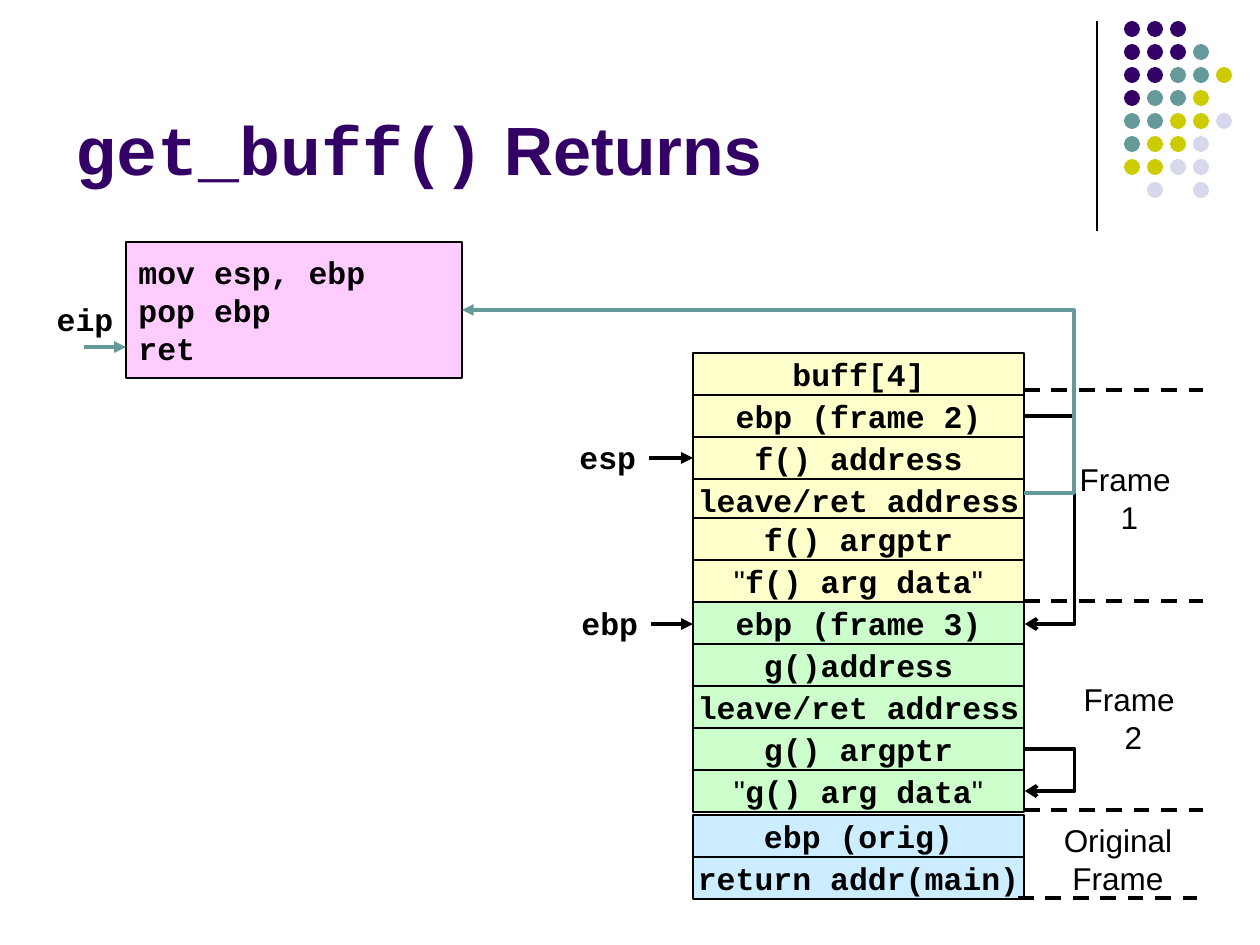
"""Builds a slide on the stack frames left when get_buff() returns."""
from typing import NamedTuple, Optional

from lxml import etree
from pptx import Presentation
from pptx.dml.color import RGBColor
from pptx.enum.dml import MSO_LINE
from pptx.enum.shapes import MSO_CONNECTOR, MSO_SHAPE
from pptx.enum.text import MSO_ANCHOR, PP_ALIGN
from pptx.oxml.ns import qn
from pptx.util import Emu, Pt

STRAIGHT, ELBOW = MSO_CONNECTOR.STRAIGHT, MSO_CONNECTOR.ELBOW
RECT, OVAL = MSO_SHAPE.RECTANGLE, MSO_SHAPE.OVAL
LEFT, CENTER = PP_ALIGN.LEFT, PP_ALIGN.CENTER
TOP, MIDDLE, BOTTOM = MSO_ANCHOR.TOP, MSO_ANCHOR.MIDDLE, MSO_ANCHOR.BOTTOM
DASH = MSO_LINE.DASH

PX = 914400 / 126
SANS, MONO = "Arial", "Courier New"
COLORS = {
    "black": "000000", "purple": "330066", "teal": "669999", "olive": "CCCC00",
    "lilac": "D8D8EC", "yellow": "FFFFCC", "green": "CCFFCC", "blue": "CCECFF",
    "pink": "FFCCFF",
}
DOT_COLORS = {"p": "purple", "t": "teal", "o": "olive", "l": "lilac"}
DOT_ROWS = ["ppp", "pppt", "pptto", "ptto", "ttool", "tool", "ooll", " l l"]
DOT_LEFT, DOT_TOP, DOT_PITCH, DOT_SIZE = 1124, 21, 23, 16
STACK_LEFT, STACK_WIDTH, CELL_HEIGHT = 693, 331, 42
STACK_RIGHT = STACK_LEFT + STACK_WIDTH


class Run(NamedTuple):
    """A stretch of text in one font."""
    text: str
    font: str = MONO
    bold: bool = True
    size: int = 18
    color: str = "black"


class Block(NamedTuple):
    """Adjoining stack cells of one colour."""
    top: int
    fill: str
    cells: list[list[Run]]


class Label(NamedTuple):
    """Free text placed on the slide."""
    x: int
    y: int
    w: int
    h: int
    lines: list[list[Run]]
    align: PP_ALIGN = CENTER
    anchor: MSO_ANCHOR = TOP
    wrap: bool = False


class Line(NamedTuple):
    """A connector, bent at via_x when that is given."""
    x1: int
    y1: int
    x2: int
    y2: int
    color: str = "black"
    width: float = 2.25
    tail: str = ""
    dashed: bool = False
    via_x: Optional[int] = None


def code(text: str) -> list[Run]:
    """Return one line of bold code."""
    return [Run(text)]


def plain(text: str) -> list[Run]:
    """Return one line of plain sans text."""
    return [Run(text, SANS, False)]


def quoted(text: str) -> list[Run]:
    """Return code between plain quotation marks."""
    return plain('"') + code(text) + plain('"')


BLOCKS = [
    Block(353, "yellow", [code("buff[4]"), code("ebp (frame 2)"),
                          code("f() address"), code("leave/ret address")]),
    Block(518, "yellow", [code("f() argptr"), quoted("f() arg data")]),
    Block(602, "green", [code("ebp (frame 3)"), code("g()address"),
                         code("leave/ret address"), code("g() argptr"),
                         quoted("g() arg data")]),
    Block(815, "blue", [code("ebp (orig)"), code("return addr(main)")]),
]
LABELS = [
    Label(63, 16, 1040, 179, [[Run("get_buff()", MONO, True, 39, "purple"),
                               Run(" Returns", SANS, True, 39, "purple")]],
          LEFT, BOTTOM, True),
    Label(1067, 454, 125, 88, [plain("Frame "), plain("1")]),
    Label(1071, 674, 125, 88, [plain("Frame "), plain("2")]),
    Label(1051, 815, 134, 88, [plain("Original"), plain("Frame")]),
    Label(567, 432, 82, 50, [code("esp")], LEFT),
    Label(569, 598, 82, 50, [code("ebp")], LEFT),
    Label(44, 294, 82, 50, [code("eip")]),
]
LINES = [
    Line(1097, 21, 1097, 231, width=0.75),
    Line(STACK_RIGHT, 416, STACK_RIGHT + 1, 624, tail="arrow", via_x=1075),
    Line(STACK_RIGHT, 749, STACK_RIGHT + 1, 791, tail="arrow", via_x=1075),
    *[Line(x, y, x + 179, y, dashed=True)
      for x, y in [(1024, 390), (1024, 601), (1024, 810), (1018, 898)]],
    Line(STACK_RIGHT, 493, 462, 310, "teal", tail="triangle", via_x=1074),
    Line(649, 458, STACK_LEFT, 458, tail="triangle"),
    Line(651, 624, STACK_LEFT, 624, tail="triangle"),
    Line(84, 347, 126, 347, "teal", tail="triangle"),
]


def px(v: int) -> Emu:
    """Turn pixels into EMU."""
    return Emu(round(v * PX))


def rgb(name: str) -> RGBColor:
    """Look up a named colour."""
    return RGBColor.from_string(COLORS[name])


def write(sp, lines: list[list[Run]], align: PP_ALIGN, anchor: MSO_ANCHOR,
          wrap: bool = False) -> None:
    """Fill a shape with text run by run."""
    tf = sp.text_frame
    tf.word_wrap = wrap
    tf.vertical_anchor = anchor
    for i, line in enumerate(lines):
        p = tf.add_paragraph() if i else tf.paragraphs[0]
        p.alignment = align
        for run in line:
            r = p.add_run()
            r.text = run.text
            r.font.name = run.font
            r.font.size = Pt(run.size)
            r.font.bold = run.bold
            r.font.color.rgb = rgb(run.color)


def draw_shape(s, kind: MSO_SHAPE, x: int, y: int, w: int, h: int, fill: str,
               outlined: bool = True):
    """Draw a filled preset shape."""
    sp = s.shapes.add_shape(kind, px(x), px(y), px(w), px(h))
    sp.shadow.inherit = False
    sp.fill.solid()
    sp.fill.fore_color.rgb = rgb(fill)
    if outlined:
        sp.line.color.rgb = rgb("black")
        sp.line.width = Pt(0.75)
    else:
        sp.line.fill.background()
    return sp


def draw_label(s, d: Label) -> None:
    """Draw a text box."""
    sp = s.shapes.add_textbox(px(d.x), px(d.y), px(d.w), px(d.h))
    write(sp, d.lines, d.align, d.anchor, d.wrap)


def draw_line(s, d: Line) -> None:
    """Draw a straight or bent connector."""
    kind = STRAIGHT if d.via_x is None else ELBOW
    c = s.shapes.add_connector(kind, px(d.x1), px(d.y1), px(d.x2), px(d.y2))
    c.line.color.rgb = rgb(d.color)
    c.line.width = Pt(d.width)
    if d.dashed:
        c.line.dash_style = DASH
    spPr = c._element.spPr
    if d.tail:
        etree.SubElement(spPr.find(qn("a:ln")), qn("a:tailEnd"), type=d.tail)
    etree.SubElement(spPr, qn("a:effectLst"))
    if d.via_x is not None:
        adj = round(100000 * (d.via_x - d.x1) / (d.x2 - d.x1))
        etree.SubElement(spPr.find(".//" + qn("a:avLst")), qn("a:gd"),
                         name="adj1", fmla=f"val {adj}")


def main() -> None:
    """Build and save the slide."""
    prs = Presentation()
    prs.slide_width, prs.slide_height = px(1260), px(945)
    s = prs.slides.add_slide(prs.slide_layouts[6])
    for j, row in enumerate(DOT_ROWS):
        for i, key in enumerate(row):
            if key in DOT_COLORS:
                draw_shape(s, OVAL, DOT_LEFT + i * DOT_PITCH, DOT_TOP + j * DOT_PITCH,
                           DOT_SIZE, DOT_SIZE, DOT_COLORS[key], False)
    for b in BLOCKS:
        for i, cell in enumerate(b.cells):
            sp = draw_shape(s, RECT, STACK_LEFT, b.top + i * CELL_HEIGHT,
                            STACK_WIDTH, CELL_HEIGHT, b.fill)
            write(sp, [cell], CENTER, MIDDLE)
    sp = draw_shape(s, RECT, 126, 242, 336, 136, "pink")
    write(sp, [code("mov esp, ebp"), code("pop ebp"), code("ret")], LEFT, MIDDLE)
    for label in LABELS:
        draw_label(s, label)
    for line in LINES:
        draw_line(s, line)
    prs.save("out.pptx")


if __name__ == "__main__":
    main()
